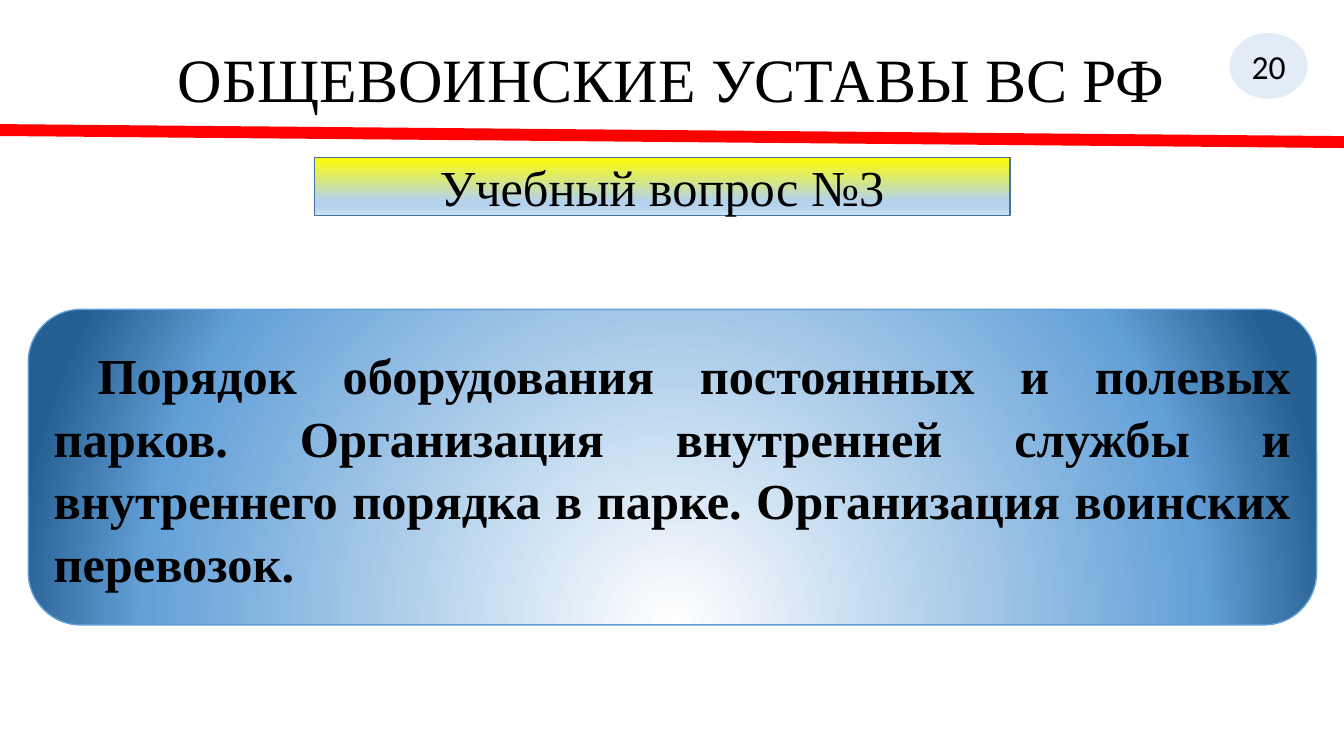
from dataclasses import dataclass

from pptx import Presentation
from pptx.dml.color import RGBColor
from pptx.enum.shapes import MSO_CONNECTOR, MSO_SHAPE
from pptx.enum.text import MSO_ANCHOR, PP_ALIGN
from pptx.oxml import parse_xml
from pptx.oxml.ns import nsdecls, qn
from pptx.oxml.xmlchemy import OxmlElement
from pptx.util import Pt

CENTER, JUSTIFY = PP_ALIGN.CENTER, PP_ALIGN.JUSTIFY
TOP, MIDDLE = MSO_ANCHOR.TOP, MSO_ANCHOR.MIDDLE
OVAL, RECT, ROUNDED = MSO_SHAPE.OVAL, MSO_SHAPE.RECTANGLE, MSO_SHAPE.ROUNDED_RECTANGLE
STRAIGHT = MSO_CONNECTOR.STRAIGHT

SERIF, SANS = "Times New Roman", "Calibri"
BLACK, WHITE, RED = "000000", "FFFFFF", "FF0000"
SLIDE_W, SLIDE_H = 960, 540

DOWNWARD = '<a:lin ang="5400000" scaled="0"/>'
FROM_BOTTOM = ('<a:path path="circle">'
               '<a:fillToRect l="50000" t="130000" r="50000" b="-30000"/></a:path>')


@dataclass
class Label:
    text: str
    size: float
    font: str = SERIF
    bold: bool = False
    align: PP_ALIGN = CENTER
    anchor: MSO_ANCHOR = MIDDLE
    spacing: float = 1.0
    indent: float = 0
    margin_top: float = 3.6


@dataclass
class Panel:
    kind: MSO_SHAPE
    box: tuple[float, float, float, float]
    fill: str
    line: str
    label: Label


def rgb(color: str) -> RGBColor:
    return RGBColor.from_string(color)


def solid(color: str, alpha: int) -> str:
    return (f'<a:solidFill {nsdecls("a")}><a:srgbClr val="{color}">'
            f'<a:alpha val="{alpha * 1000}"/></a:srgbClr></a:solidFill>')


def gradient(stops: list[tuple[int, str]], direction: str) -> str:
    marks = "".join(f'<a:gs pos="{pos * 1000}"><a:srgbClr val="{color}"/></a:gs>'
                    for pos, color in stops)
    return (f'<a:gradFill {nsdecls("a")} rotWithShape="1">'
            f'<a:gsLst>{marks}</a:gsLst>{direction}</a:gradFill>')


def write(sp, label: Label) -> None:
    tf = sp.text_frame
    tf.word_wrap = True
    tf.vertical_anchor = label.anchor
    tf.margin_top = Pt(label.margin_top)
    tf.text = label.text
    p = tf.paragraphs[0]
    p.alignment = label.align
    p.line_spacing = label.spacing
    if label.indent:
        p._p.get_or_add_pPr().set("indent", str(Pt(label.indent)))
    font = p.runs[0].font
    font.name, font.size, font.bold = label.font, Pt(label.size), label.bold
    font.color.rgb = rgb(BLACK)


def add_panel(s, panel: Panel) -> None:
    sp = s.shapes.add_shape(panel.kind, *map(Pt, panel.box))
    sp.shadow.inherit = False
    sp.fill.background()
    spPr = sp._element.spPr
    spPr.replace(spPr.find(qn("a:noFill")), parse_xml(panel.fill))
    sp.line.color.rgb = rgb(panel.line)
    sp.line.width = Pt(1)
    write(sp, panel.label)


def add_rule(s, x1: float, y1: float, x2: float, y2: float) -> None:
    line = s.shapes.add_connector(STRAIGHT, Pt(x1), Pt(y1), Pt(x2), Pt(y2))
    line.line.color.rgb = rgb(RED)
    line.line.width = Pt(8.5)
    line._element.spPr.append(OxmlElement("a:effectLst"))


TITLE = Label("ОБЩЕВОИНСКИЕ УСТАВЫ ВС РФ", 44, anchor=TOP, spacing=0.9, margin_top=6.5)

PANELS = [
    Panel(OVAL, (877.7, 23, 56.9, 48.2), solid("5B9BD5", 18), WHITE,
          Label("20", 24, font=SANS)),
    Panel(RECT, (224.6, 112.3, 496.8, 41.8),
          gradient([(0, "FFFF00"), (74, "B5D2EC"), (83, "B5D2EC"), (100, "CEE1F2")], DOWNWARD),
          "43739E", Label("Учебный вопрос №3", 36)),
    Panel(ROUNDED, (20.2, 221, 920.2, 225.4),
          gradient([(0, "FFFFFF"), (80, "63A0D7"), (100, "255E91")], FROM_BOTTOM),
          "63A0D7",
          Label("Порядок оборудования постоянных и полевых парков. Организация внутренней "
                "службы и внутреннего порядка в парке. Организация воинских перевозок.",
                36, bold=True, align=JUSTIFY, spacing=1.04, indent=31.4)),
]


def main() -> None:
    prs = Presentation()
    prs.slide_width, prs.slide_height = Pt(SLIDE_W), Pt(SLIDE_H)
    s = prs.slides.add_slide(prs.slide_layouts[6])
    write(s.shapes.add_textbox(Pt(66), Pt(28.8), Pt(828), Pt(104.4)), TITLE)
    add_rule(s, 0, 92.9, SLIDE_W, 101.5)
    for panel in PANELS:
        add_panel(s, panel)
    prs.save("out.pptx")


if __name__ == "__main__":
    main()
